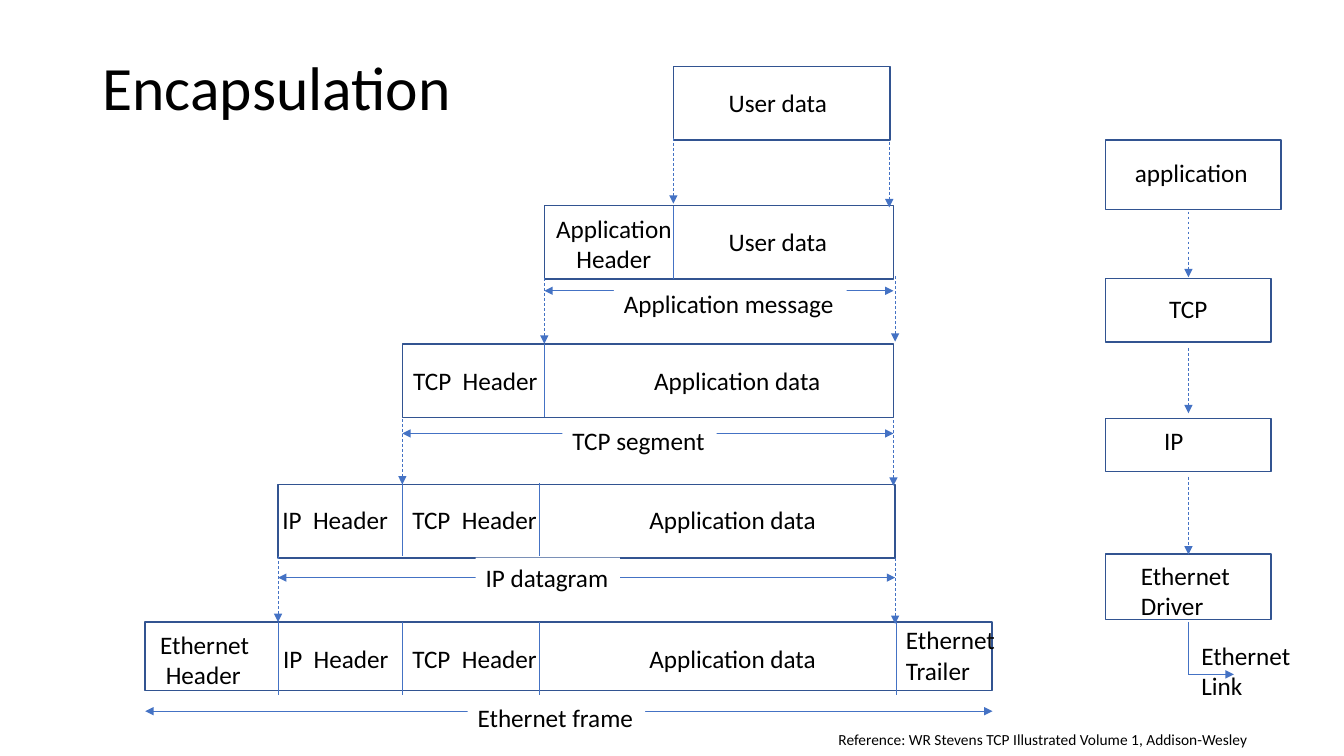
from lxml.etree import SubElement
from pptx import Presentation
from pptx.dml.color import RGBColor
from pptx.enum.dml import MSO_LINE
from pptx.enum.shapes import MSO_CONNECTOR, MSO_SHAPE
from pptx.enum.text import MSO_ANCHOR, MSO_AUTO_SIZE, PP_ALIGN
from pptx.oxml.ns import qn
from pptx.util import Pt

INK, BORDER, ACCENT, PAPER = "000000", "325491", "4472C4", "FFFFFF"
FONT = "Calibri"
LINE_HEIGHT = 28.8
ARROW_DROP = 46.8
DIVIDER_HEIGHT = 52.4

TITLE = "Encapsulation"
REFERENCE = "Reference: WR Stevens TCP Illustrated Volume 1, Addison-Wesley"

# left, top, width, height, divider top, divider positions
PACKETS = [
    (481, 47.5, 154.8, 52.5, 0, []),
    (388.8, 146.9, 249.6, 52.5, 146.9, [481]),
    (287.4, 245.8, 350.8, 52.5, 245.8, [388.8]),
    (198.6, 346.2, 440.6, 52.5, 345, [287.4, 385.2]),
    (103.7, 444.2, 605, 49, 444.2, [198.6, 287.4, 385.2, 640]),
]

PROTOCOLS = [
    (789.8, 100, 125.4, 49.8),
    (789.8, 198.9, 118, 45.5),
    (789.8, 299, 118, 38),
    (789.8, 395.8, 118, 46.6),
]

# text, left, top, width
CAPTIONS = [
    ("User data", 513.4, 59, 85.7),
    ("User data", 513.4, 158.1, 85.7),
    ("Application data", 460.1, 257.5, 134.6),
    ("TCP  Header", 288, 257.5, 104.4),
    ("Application data", 456.8, 356.6, 134.6),
    ("TCP  Header", 287.4, 356.6, 104.4),
    ("IP  Header", 194.6, 356.6, 90.7),
    ("Application data", 456.8, 456, 134.6),
    ("TCP  Header", 287.4, 456, 104.4),
    ("IP  Header", 195.1, 456, 90.7),
    ("Ethernet\n Header", 107.3, 445.9, 79.2),
    ("Ethernet\nTrailer", 640, 442.6, 82.8),
    ("application", 803.5, 108.7, 96.5),
    ("TCP", 828, 206.2, 41.8),
    ("IP", 824.4, 300.5, 28.1),
    ("Ethernet\nDriver", 807.8, 396.7, 82.8),
    ("Ethernet\nLink", 851, 453.8, 82.8),
]

# label, label left, label top, label width, span left, span right, span height
SPANS = [
    ("TCP segment", 401.8, 300.2, 110.2, 287.4, 638.2, 309.6),
    ("IP datagram", 339.8, 398.4, 103, 198.6, 639.4, 412.6),
    ("Ethernet frame", 334.1, 498.2, 126.7, 103.7, 709, 508),
    ("Application message", 438.5, 202.3, 166.3, 388.8, 638.2, 207.7),
]

# position, top of each dashed arrow
DROPS = [
    (481, 98.7), (635.2, 101.3), (388.8, 198.7), (639.4, 197.3),
    (287.4, 299.2), (638.2, 300.2), (198.6, 397.5), (639.4, 398.9),
    (848.9, 151.2), (848.9, 248.4),
]
DRIVER_DROP = (848.9, 340.6, 848.9, 396)
LINK_CORNER = (848.9, 481.7)


def color(value):
    return RGBColor.from_string(value)


def style(text_frame, size):
    for paragraph in text_frame.paragraphs:
        for run in paragraph.runs:
            run.font.size = Pt(size)
            run.font.name = FONT
            run.font.color.rgb = color(INK)


def add_frame(left, top, width, height):
    frame = slide.shapes.add_shape(
        MSO_SHAPE.RECTANGLE, Pt(left), Pt(top), Pt(width), Pt(height))
    frame.shadow.inherit = False
    frame.fill.background()
    frame.line.color.rgb = color(BORDER)
    frame.line.width = Pt(1)


def add_caption(text, left, top, width, size=18, fill=None):
    height = LINE_HEIGHT + 22 * text.count("\n")
    caption = slide.shapes.add_textbox(Pt(left), Pt(top), Pt(width), Pt(height))
    caption.text_frame.text = text
    caption.text_frame.word_wrap = False
    caption.text_frame.auto_size = MSO_AUTO_SIZE.SHAPE_TO_FIT_TEXT
    style(caption.text_frame, size)
    if fill:
        caption.fill.solid()
        caption.fill.fore_color.rgb = color(fill)
    return caption


def add_line(x1, y1, x2, y2, ends=(), dashed=False):
    line = slide.shapes.add_connector(
        MSO_CONNECTOR.STRAIGHT, Pt(x1), Pt(y1), Pt(x2), Pt(y2))
    line.line.color.rgb = color(ACCENT)
    line.line.width = Pt(0.5)
    if dashed:
        line.line.dash_style = MSO_LINE.DASH
    outline = line.line._get_or_add_ln()
    for end in ends:
        SubElement(outline, qn("a:" + end), type="triangle")
    SubElement(line._element.spPr, qn("a:effectLst"))


deck = Presentation()
deck.slide_width, deck.slide_height = Pt(960), Pt(540)
slide = deck.slides.add_slide(deck.slide_layouts[5])

title = slide.shapes.title
title.left, title.top, title.width, title.height = Pt(66), Pt(28.8), Pt(828), Pt(71.3)
title.text_frame.text = TITLE
title.text_frame.vertical_anchor = MSO_ANCHOR.MIDDLE
title.text_frame.paragraphs[0].alignment = PP_ALIGN.LEFT
title.text_frame.paragraphs[0].line_spacing = 0.9
style(title.text_frame, 44)

for left, top, width, height, divider_top, dividers in PACKETS:
    add_frame(left, top, width, height)
    for x in dividers:
        add_line(x, divider_top, x, divider_top + DIVIDER_HEIGHT)

for protocol in PROTOCOLS:
    add_frame(*protocol)

for caption in CAPTIONS:
    add_caption(*caption)

application_header = add_caption("Application Header", 385.2, 149, 106.6)
application_header.text_frame.word_wrap = True
application_header.text_frame.paragraphs[0].alignment = PP_ALIGN.CENTER

for label, label_left, label_top, label_width, left, right, y in SPANS:
    add_line(left, y, right, y, ends=("headEnd", "tailEnd"))
    add_caption(label, label_left, label_top, label_width, fill=PAPER)

for x, top in DROPS:
    add_line(x, top, x, top + ARROW_DROP, ends=("tailEnd",), dashed=True)
add_line(*DRIVER_DROP, ends=("tailEnd",), dashed=True)

corner_x, corner_y = LINK_CORNER
add_line(corner_x, 444.2, corner_x, corner_y)
add_line(corner_x, corner_y, corner_x + 32.4, corner_y, ends=("tailEnd",))

add_caption(REFERENCE, 591.8, 517.7, 311, size=11)

deck.save("out.pptx")
